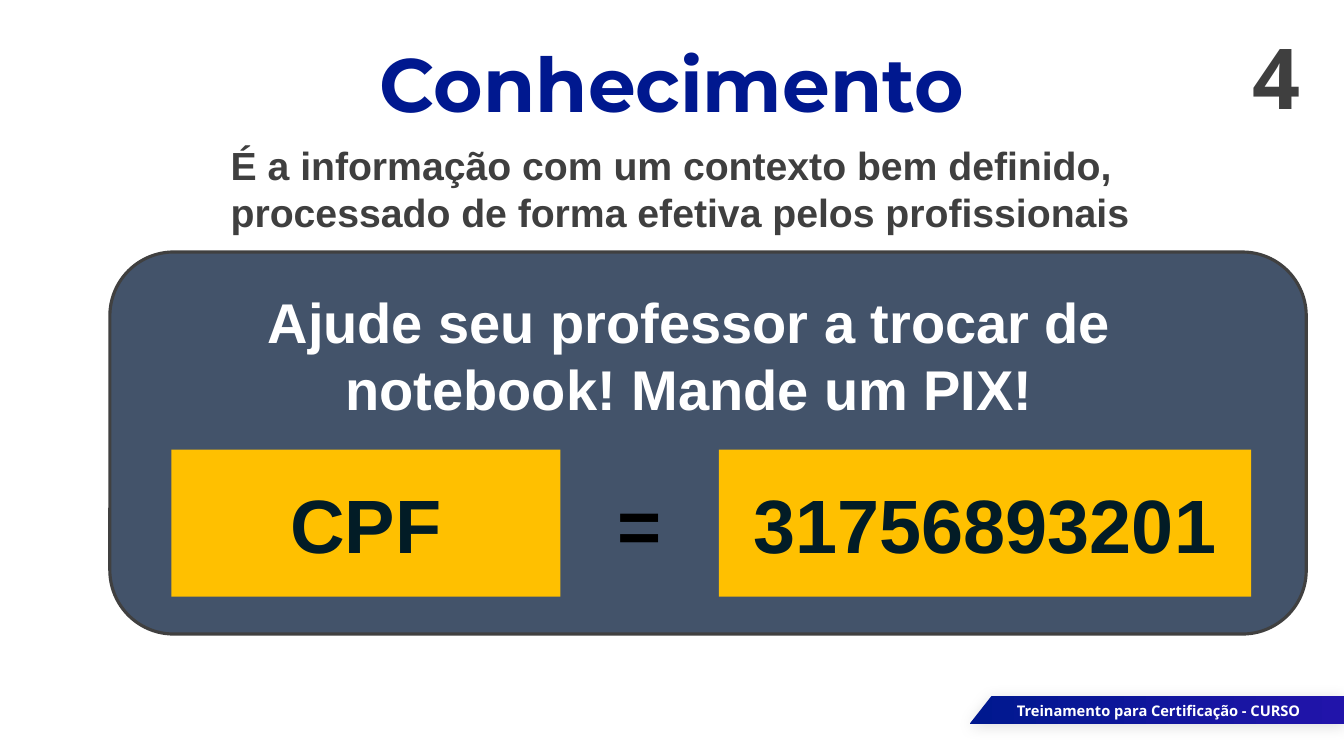
from dataclasses import dataclass

from lxml import etree
from pptx import Presentation
from pptx.dml.color import RGBColor
from pptx.enum.shapes import MSO_SHAPE
from pptx.enum.text import MSO_ANCHOR, PP_ALIGN
from pptx.oxml.ns import qn
from pptx.util import Pt

LEFT, CENTER, RIGHT = PP_ALIGN.LEFT, PP_ALIGN.CENTER, PP_ALIGN.RIGHT
TOP, MIDDLE = MSO_ANCHOR.TOP, MSO_ANCHOR.MIDDLE
RECTANGLE, ROUNDED = MSO_SHAPE.RECTANGLE, MSO_SHAPE.ROUNDED_RECTANGLE


@dataclass(frozen=True)
class Theme:
    navy: str = "00188F"
    violet: str = "2114AA"
    slate: str = "43536A"
    outline: str = "404040"
    gray: str = "3F3F3F"
    amber: str = "FFC000"
    ink: str = "021C26"
    white: str = "FFFFFF"
    black: str = "000000"
    number_size: float = 60
    title_size: float = 54
    appeal_size: float = 40
    intro_size: float = 28
    footer_size: float = 10.5
    body_font: str = "Arial"
    title_font: str = "Montserrat"
    footer_font: str = "Open Sans"


def rgb(code):
    return RGBColor.from_string(code)


class SlideBuilder:
    def __init__(self, page, theme):
        self.page = page
        self.theme = theme

    def label(self, shape, words, size, color, align=CENTER, anchor=TOP, font=None):
        frame = shape.text_frame
        frame.word_wrap = True
        frame.vertical_anchor = anchor
        frame.text = words
        para = frame.paragraphs[0]
        para.alignment = align
        span = para.runs[0]
        span.font.name = font or self.theme.body_font
        span.font.size = Pt(size)
        span.font.bold = True
        span.font.color.rgb = rgb(color)

    def text(self, place, words, size, color, **style):
        box = self.page.shapes.add_textbox(*map(Pt, place))
        self.label(box, words, size, color, **style)

    def block(self, kind, place, fill, line=None):
        shape = self.page.shapes.add_shape(kind, *map(Pt, place))
        shape.shadow.inherit = False
        shape.fill.solid()
        shape.fill.fore_color.rgb = rgb(fill)
        if line:
            shape.line.color.rgb = rgb(line)
            shape.line.width = Pt(2.25)
        else:
            shape.line.fill.background()
        return shape

    def banner(self, points, start_color, end_color):
        """Draw a closed outline with a horizontal gradient and a soft shadow."""
        corners = [(Pt(x), Pt(y)) for x, y in points]
        outline = self.page.shapes.build_freeform(*corners[0])
        outline.add_line_segments(corners[1:], close=True)
        shape = outline.convert_to_shape()
        shape.line.fill.background()
        shape.fill.gradient()
        shape.fill.gradient_angle = 0
        for stop, color in zip(shape.fill.gradient_stops, (start_color, end_color)):
            stop.color.rgb = rgb(color)
        shape.shadow.inherit = False
        effects = shape.element.spPr.find(qn("a:effectLst"))
        shadow = etree.SubElement(effects, qn("a:outerShdw"), blurRad=str(Pt(11)),
                                  dist=str(Pt(2)), dir="5400000", rotWithShape="0")
        color = etree.SubElement(shadow, qn("a:srgbClr"), val=self.theme.black)
        etree.SubElement(color, qn("a:alpha"), val="12000")


def main():
    deck = Presentation()
    deck.slide_width, deck.slide_height = Pt(960), Pt(540)
    theme = Theme()
    slide = SlideBuilder(deck.slides.add_slide(deck.slide_layouts[6]), theme)

    slide.banner([(708.5, 496.8), (960, 496.8), (960, 517), (692.6, 517)],
                 theme.navy, theme.violet)
    slide.text((743.8, 14.4, 192.2, 79.9), "4", theme.number_size, theme.gray,
               align=RIGHT, anchor=MIDDLE, font=theme.footer_font)
    slide.text((714.2, 497.5, 221.8, 20.2), "Treinamento para Certificação - CURSO",
               theme.footer_size, theme.white, align=RIGHT, font=theme.footer_font)

    panel = slide.block(ROUNDED, (78.5, 180, 854.6, 272.9), theme.slate, theme.outline)
    panel.adjustments[0] = 0.167
    slide.text((157.7, 97.2, 697.7, 74.9),
               "É a informação com um contexto bem definido, "
               "processado de forma efetiva pelos profissionais",
               theme.intro_size, theme.gray, align=LEFT)
    slide.text((106.6, 201.6, 771.1, 104.4),
               "Ajude seu professor a trocar de notebook! Mande um PIX!",
               theme.appeal_size, theme.white)

    for left, width, words in [(513.4, 380.2, "31756893201"), (122.4, 277.9, "CPF")]:
        card = slide.block(RECTANGLE, (left, 321.1, width, 105.1), theme.amber)
        slide.label(card, words, theme.title_size, theme.ink, anchor=MIDDLE)
    slide.text((432, 337.7, 50.4, 72.7), "=", theme.title_size, theme.black)
    slide.text((216, 23, 527.8, 72.7), "Conhecimento", theme.title_size, theme.navy,
               font=theme.title_font)

    deck.save("out.pptx")


if __name__ == "__main__":
    main()
